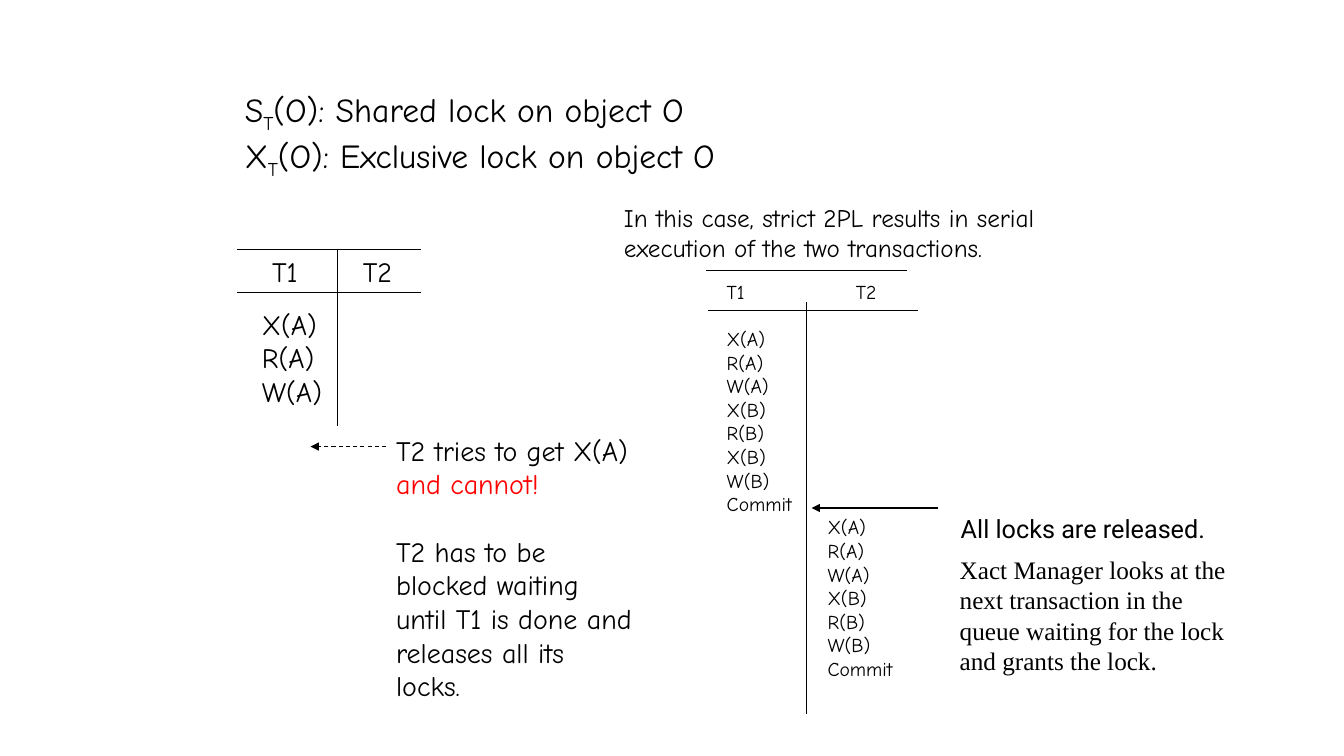
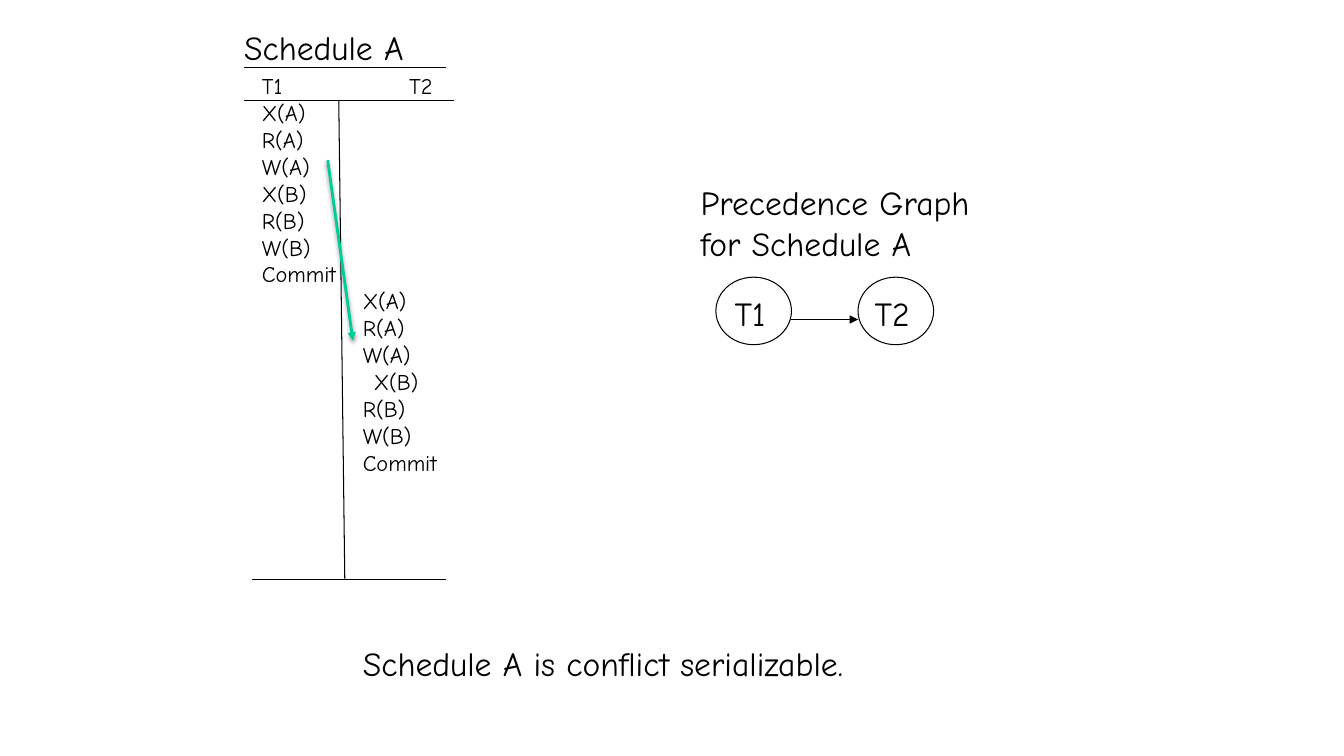
from lxml import etree
from pptx import Presentation
from pptx.dml.color import RGBColor
from pptx.enum.dml import MSO_LINE
from pptx.enum.shapes import MSO_CONNECTOR, MSO_SHAPE
from pptx.enum.text import MSO_ANCHOR, PP_ALIGN
from pptx.oxml.ns import qn
from pptx.util import Inches, Pt

STRAIGHT, OVAL = MSO_CONNECTOR.STRAIGHT, MSO_SHAPE.OVAL
DASH = MSO_LINE.DASH
TOP, MIDDLE = MSO_ANCHOR.TOP, MSO_ANCHOR.MIDDLE
LEFT, CENTER = PP_ALIGN.LEFT, PP_ALIGN.CENTER

FONT, BLACK, RED, GREEN = "Comic Neue", "000000", "FF0000", "00CC99"
TITLE_ONLY, BLANK = 5, 6
PITCH = 1.2 / 72  # line height in inches for each point of text size

# Content: a paragraph is a string or a list of (text, format) runs
LOCKS = [
    [("S", {}), ("T", {"sub": True}), ("(O): Shared lock on object O", {})],
    [("X", {}), ("T", {"sub": True}), ("(O): Exclusive lock on object O", {})],
]
BLOCKED = [
    [("T2 tries to get X(A) ", {}), ("and cannot!", {"color": RED})],
    "T2 has to be blocked waiting until T1 is done and releases all its locks.",
]
SERIAL = ["In this case, strict 2PL results in serial execution of the two transactions."]
FREED = ["All locks are released."]
NEXT = ["Xact Manager looks at the next transaction in the queue "
        "waiting for the lock and grants the lock."]
GRAPH = ["Precedence Graph for Schedule A"]
RESULT = ["Schedule A is conflict serializable."]

OPS = ["X(A)", "R(A)", "W(A)", "X(B)", "R(B)", "W(B)", "Commit"]

# Schedules: heads and columns are (x, ...); "gap" is the rows from head to first step
SHORT = {"size": 20, "top": 2.48, "gap": 1.56, "heads": [2.6, 3.5],
         "cols": [(2.5, OPS[:3])],
         "rules": [(2.35, 2.48, 4.18, 2.48), (2.35, 2.9, 4.18, 2.9),
                   (3.35, 2.48, 3.35, 4.23)]}
STRICT = {"size": 14, "top": 2.73, "gap": 2, "heads": [7.11, 8.39],
          "cols": [(7.11, OPS[:5] + ["X(B)"] + OPS[5:]), (8.11, OPS)],
          "rules": [(7, 2.68, 9, 2.68), (7.02, 3.08, 9.1, 3.08), (8, 3, 8, 7.08)]}
PLAN_A = {"size": 16, "top": 0.67, "gap": 1, "heads": [2.5, 3.96],
          "cols": [(2.5, OPS), (3.5, OPS)], "shift": (1, 3, 0.11),
          "rules": [(2.42, 0.67, 4.42, 0.67), (2.42, 1, 4.5, 1),
                    (3.36, 1, 3.42, 5.75), (2.5, 5.75, 4.42, 5.75)]}
NODES = [("T1", 7.1), ("T2", 8.51)]
NODE_Y, NODE_W, NODE_H = 2.75, 0.75, 0.67


def rgb(code):
    return RGBColor.from_string(code)


def write(frame, paras, size=20, font=FONT, color=BLACK, align=LEFT,
          anchor=TOP, wrap=True, gap=0):
    """Fill a text frame; gap is the space in points between paragraphs."""
    frame.word_wrap = wrap
    frame.vertical_anchor = anchor
    for i, para in enumerate(paras):
        p = frame.paragraphs[0] if i == 0 else frame.add_paragraph()
        p.alignment = align
        p.space_before = Pt(gap if i else 0)
        for text, fmt in [(para, {})] if isinstance(para, str) else para:
            run = p.add_run()
            run.text = text
            run.font.size, run.font.name = Pt(size), font
            run.font.color.rgb = rgb(fmt.get("color", color))
            if fmt.get("sub"):
                run.font._element.set("baseline", "-25000")


def label(slide, paras, x, y, w, h, **fmt):
    box = slide.shapes.add_textbox(Inches(x), Inches(y), Inches(w), Inches(h))
    write(box.text_frame, paras, **fmt)
    return box


def rule(slide, ends, color=BLACK, width=0.75, dash=None, head=False, shade=False):
    """Draw a line from (x1, y1) to (x2, y2), with an arrowhead if asked."""
    line = slide.shapes.add_connector(STRAIGHT, *[Inches(v) for v in ends])
    line.line.color.rgb, line.line.width = rgb(color), Pt(width)
    if dash:
        line.line.dash_style = dash
    if head:
        etree.SubElement(line.line._get_or_add_ln(), qn("a:tailEnd"), type="triangle")
    effect = etree.SubElement(line._element.spPr, qn("a:effectLst"))
    if shade:
        cast = etree.SubElement(effect, qn("a:outerShdw"), blurRad=str(Pt(3.1)),
                                dist=str(Pt(1.6)), dir="5400000", rotWithShape="0")
        tint = etree.SubElement(cast, qn("a:srgbClr"), val=BLACK)
        etree.SubElement(tint, qn("a:alpha"), val="38000")


def schedule(slide, plan):
    """Each column starts on the row after the last step of the one before."""
    size, row = plan["size"], plan["gap"]
    step = size * PITCH
    for name, x in zip(("T1", "T2"), plan["heads"]):
        label(slide, [name], x, plan["top"], 0.6, step + 0.1, size=size, wrap=False)
    for i, (x, ops) in enumerate(plan["cols"]):
        box = label(slide, ops, x, plan["top"] + row * step, 1,
                    len(ops) * step + 0.1, size=size, wrap=False)
        row += len(ops)
        col, item, dent = plan.get("shift", (None, 0, 0))
        if i == col:
            props = box.text_frame.paragraphs[item]._p.get_or_add_pPr()
            props.set("marL", str(Inches(dent)))
    for ends in plan["rules"]:
        rule(slide, ends)


def node(slide, name, x):
    disc = slide.shapes.add_shape(OVAL, Inches(x), Inches(NODE_Y),
                                  Inches(NODE_W), Inches(NODE_H))
    disc.shadow.inherit = False
    disc.fill.background()
    disc.line.color.rgb, disc.line.width = rgb(BLACK), Pt(0.75)
    frame = disc.text_frame
    frame.margin_left = frame.margin_bottom = 0
    frame.margin_right, frame.margin_top = Inches(0.07), Inches(0.04)
    write(frame, [name], size=24, align=CENTER, anchor=MIDDLE, wrap=False)


def locking(deck):
    slide = deck.slides.add_slide(deck.slide_layouts[BLANK])
    label(slide, LOCKS, 2.33, 0.83, 5.44, 0.91, size=24, wrap=False)
    schedule(slide, SHORT)
    rule(slide, (3.83, 4.43, 3.08, 4.43), dash=DASH, head=True)
    label(slide, BLOCKED, 3.83, 4.25, 2.58, 2.79, gap=24)
    label(slide, SERIAL, 6.09, 1.96, 5.25, 0.7, size=18)
    schedule(slide, STRICT)
    rule(slide, (9.3, 5.04, 8.05, 5.04), head=True)
    label(slide, FREED, 9.43, 5.04, 2.82, 0.4, size=18, font="Roboto")
    label(slide, NEXT, 9.42, 5.45, 2.98, 1.31, size=18, font="Times New Roman")


def precedence(deck):
    slide = deck.slides.add_slide(deck.slide_layouts[TITLE_ONLY])
    title = slide.shapes.title
    title.left, title.top = Inches(2.32), Inches(0.22)
    title.width, title.height = Inches(1.97), Inches(0.5)
    write(title.text_frame, ["Schedule A"], size=24, wrap=False)
    schedule(slide, PLAN_A)
    rule(slide, (3.25, 1.59, 3.5, 3.38), color=GREEN, width=2, head=True, shade=True)
    # Precedence graph
    label(slide, GRAPH, 6.85, 1.76, 3.33, 0.91, size=24)
    for name, x in NODES:
        node(slide, name, x)
    rule(slide, (NODES[0][1] + NODE_W, 3.17, NODES[1][1], 3.17), head=True)
    label(slide, RESULT, 3.5, 6.33, 5.63, 0.5, size=24, wrap=False)


def main():
    deck = Presentation()
    deck.slide_width, deck.slide_height = Inches(13.33), Inches(7.5)
    locking(deck)
    precedence(deck)
    deck.save("out.pptx")


if __name__ == "__main__":
    main()
